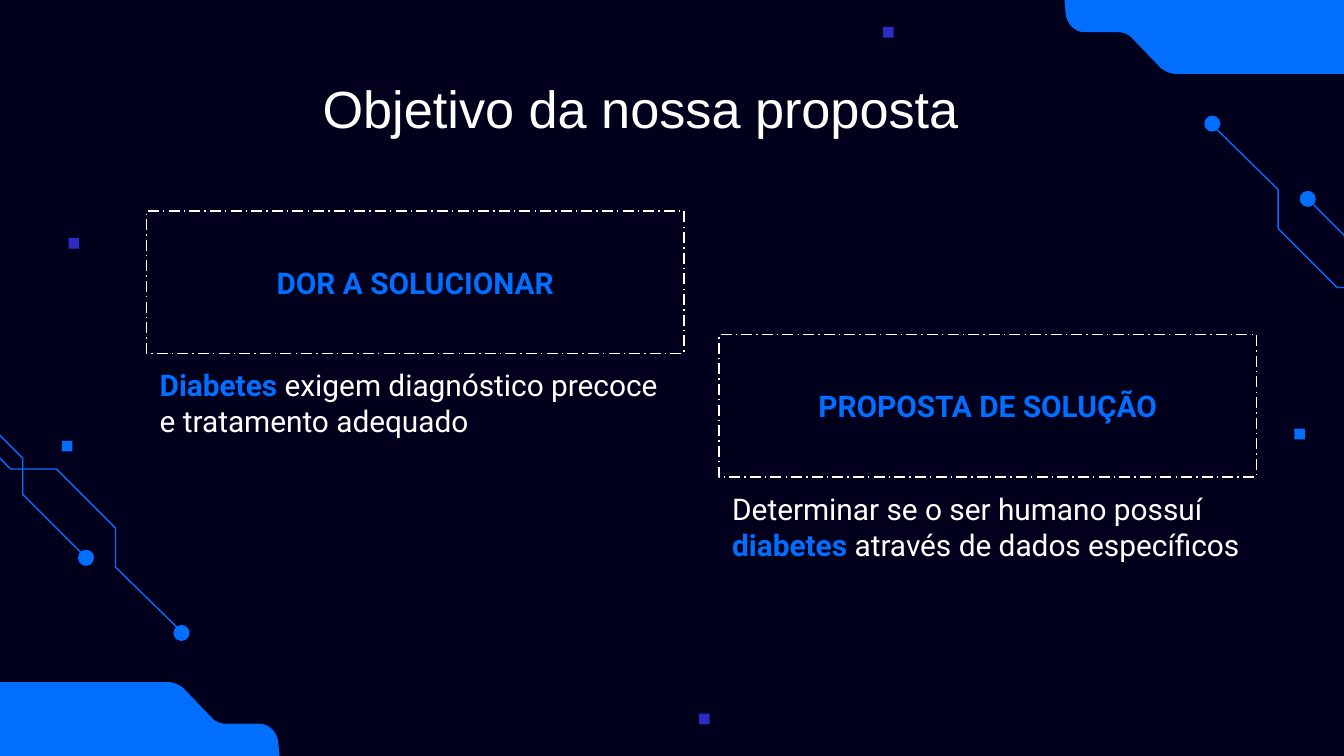
from pptx import Presentation
from pptx import util as u
from pptx.dml.color import RGBColor
from pptx.enum import dml, shapes, text

BLUE, PURPLE, WHITE, NAVY = "006EFF", "2C2CC5", "FFFFFF", "00001C"


def color(value):
    return RGBColor.from_string(value)


def add_text(left, top, width, height, spans, size, font, **formats):
    """Add a text box holding one paragraph of (words, colour, bold) spans."""
    box = page.shapes.add_textbox(*map(u.Inches, (left, top, width, height)))
    frame = box.text_frame
    margins = {f"margin_{side}": u.Inches(0.1) for side in ("left", "top", "right", "bottom")}
    for name, value in {"word_wrap": True, **margins}.items():
        setattr(frame, name, value)
    frame.vertical_anchor = formats.get("anchor", text.MSO_ANCHOR.TOP)
    para = frame.paragraphs[0]
    para.alignment = formats.get("align", text.PP_ALIGN.LEFT)
    for words, hue, bold in spans:
        span = para.add_run()
        span.text = words
        for name, value in {"size": u.Pt(size), "name": font, "bold": bold}.items():
            setattr(span.font, name, value)
        span.font.color.rgb = color(hue)
    return box


# A 16:9 page
deck = Presentation()
deck.slide_width = u.Inches(10)
deck.slide_height = u.Inches(10 * 9 / 16)
page = deck.slides.add_slide(deck.slide_layouts[6])
page.background.fill.solid()
page.background.fill.fore_color.rgb = color(NAVY)

# Circuit traces: the left pair is the right pair turned by half a circle
traces = [
    [(9.76, 1.51), (10.2, 1.95), (10.2, 2.22), (10.59, 2.61), (10.98, 2.61), (11.54, 3.17)],
    [(9.04, 0.95), (9.51, 1.41), (9.51, 1.7), (9.95, 2.14), (10.29, 2.14), (10.94, 2.79)],
]
dots = [(9.73, 1.48), (9.02, 0.92)]
outlines, marks = [], []
for turned in (False, True):
    for trace in traces:
        outlines.append(([(10.37 - x, 5.63 - y) if turned else (x, y) for x, y in trace], False))
    for x, y in dots:
        center = (10.37 - x, 5.63 - y) if turned else (x, y)
        marks.append((shapes.MSO_SHAPE.OVAL, *center, 0.12, BLUE))

# Corner panel: straight edges joined by rounded bends (four Bezier points each)
bends = [
    [(8.75, 0.55), (8.71, 0.55), (8.67, 0.53), (8.64, 0.51)],
    [(8.42, 0.28), (8.39, 0.25), (8.35, 0.24), (8.32, 0.24)],
    [(8.07, 0.24), (8, 0.24), (7.94, 0.18), (7.93, 0.11)],
]
panel = [(10, 0), (10, 0.55)]
for bend in bends:
    for step in range(9):
        t = step / 8
        weights = ((1 - t) ** 3, 3 * t * (1 - t) ** 2, 3 * t * t * (1 - t), t ** 3)
        panel.append(tuple(sum(w * p[axis] for w, p in zip(weights, bend)) for axis in (0, 1)))
panel.append((7.92, 0))
outlines += [(panel, True), ([(10 - x, deck.slide_height.inches - y) for x, y in panel], True)]

for points, closed in outlines:
    corners = [(u.Inches(x), u.Inches(y)) for x, y in points]
    builder = page.shapes.build_freeform(*corners[0])
    builder.add_line_segments(corners[1:], close=closed)
    outline = builder.convert_to_shape()
    outline.shadow.inherit = False
    if closed:
        outline.fill.solid()
        outline.fill.fore_color.rgb = color(BLUE)
        outline.line.fill.background()
    else:
        outline.fill.background()
        outline.line.color.rgb = color(BLUE)
        outline.line.width = u.Pt(0.75)

# Trace ends and small squares, placed by their centres
for x, y, hue in [(0.55, 1.81, PURPLE), (9.67, 3.23, BLUE), (6.61, 0.24, PURPLE),
                  (5.24, 5.35, PURPLE), (0.5, 3.32, BLUE)]:
    marks.append((shapes.MSO_SHAPE.RECTANGLE, x, y, 0.08, hue))
for kind, x, y, size, hue in marks:
    mark = page.shapes.add_shape(
        kind, u.Inches(x - size / 2), u.Inches(y - size / 2), u.Inches(size), u.Inches(size))
    mark.shadow.inherit = False
    mark.fill.solid()
    mark.fill.fore_color.rgb = color(hue)
    mark.line.fill.background()

# Title
add_text(0.55, 0.47, 8.43, 0.63, [("Objetivo da nossa proposta", WHITE, False)],
         28, "Arial", align=text.PP_ALIGN.CENTER)

# Two cards: a dashed heading with its text right below
cards = [
    (1.09, 1.57, "DOR A SOLUCIONAR",
     [("Diabetes ", BLUE, True),
      ("exigem diagnóstico precoce e tratamento adequado", WHITE, False)]),
    (5.35, 2.49, "PROPOSTA DE SOLUÇÃO",
     [("Determinar se o ser humano possuí ", WHITE, False),
      ("diabetes", BLUE, True),
      (" através de dados específicos", WHITE, False)]),
]
for left, top, heading, spans in cards:
    add_text(left, top + 1.06, 4, 1.06, spans, 16, "Roboto")
    frame = add_text(left, top, 4, 1.06, [(heading, BLUE, True)], 16, "Roboto",
                     align=text.PP_ALIGN.CENTER, anchor=text.MSO_ANCHOR.MIDDLE)
    frame.line.color.rgb = color(WHITE)
    for name, value in {"width": u.Pt(0.75), "dash_style": dml.MSO_LINE.LONG_DASH_DOT}.items():
        setattr(frame.line, name, value)

deck.save("out.pptx")
